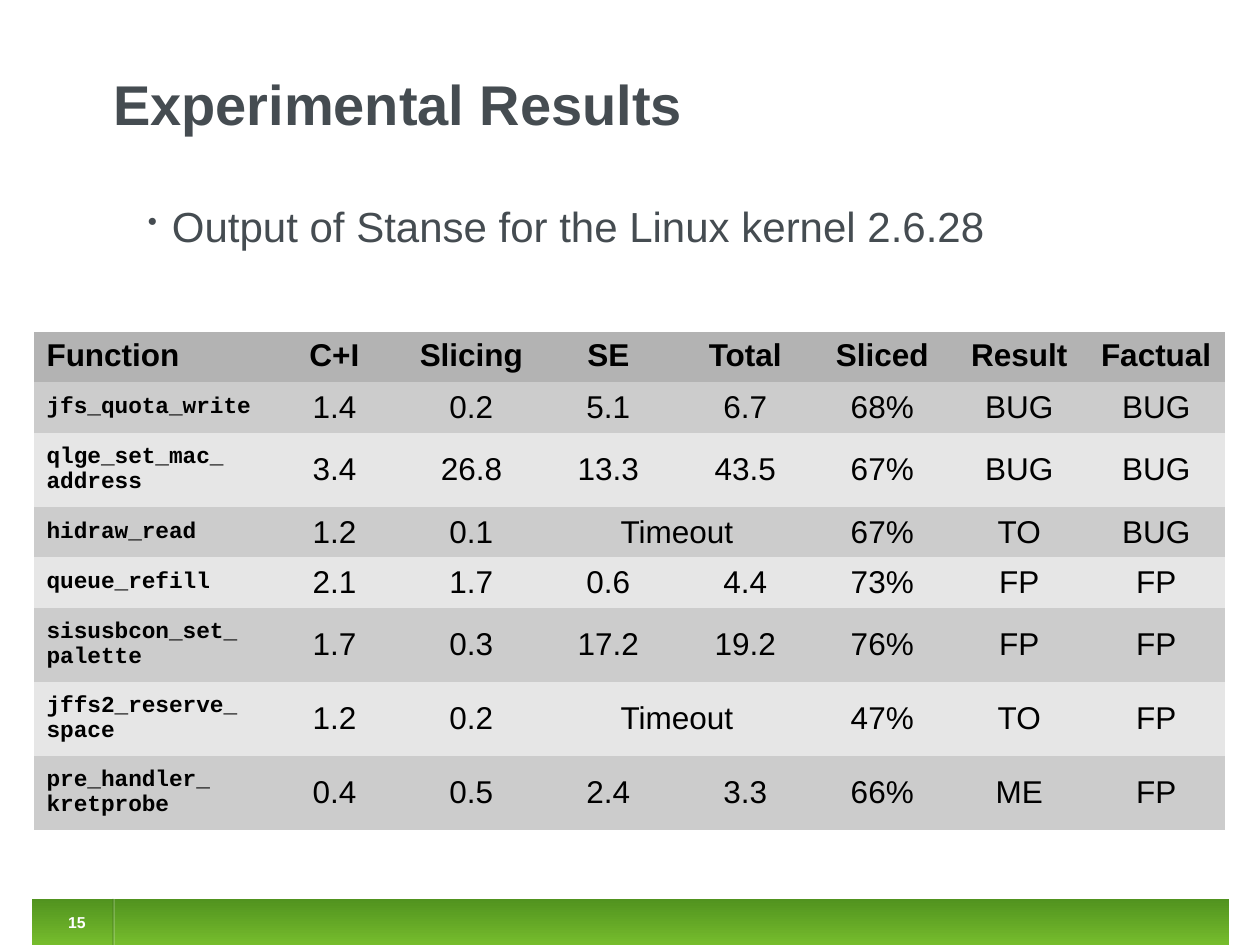
import pptx
import pptx.dml.color
import pptx.enum.shapes
import pptx.enum.text
import pptx.oxml
import pptx.oxml.ns
import pptx.util
from lxml import etree

PX = 914400 / 126  # EMU per px
RGBColor = pptx.dml.color.RGBColor
ALIGN = pptx.enum.text.PP_ALIGN
ANCHOR = pptx.enum.text.MSO_ANCHOR
qn = pptx.oxml.ns.qn

SLATE = RGBColor(0x45, 0x4C, 0x51)
BLACK = RGBColor(0, 0, 0)
WHITE = RGBColor(0xFF, 0xFF, 0xFF)
GREEN_LIGHT = RGBColor(0x77, 0xBD, 0x2D)
GREEN_DARK = RGBColor(0x51, 0x93, 0x1F)
GREEN_LINE = RGBColor(0x3F, 0x74, 0x18)
HEADER_GRAY = RGBColor(0xB3, 0xB3, 0xB3)
BAND_GRAYS = RGBColor(0xCC, 0xCC, 0xCC), RGBColor(0xE6, 0xE6, 0xE6)
NO_STYLE_NO_GRID = "{2D5ABB26-0587-4C30-8999-92F81FD0307C}"

HEADER = ["Function", "C+I", "Slicing", "SE", "Total", "Sliced", "Result", "Factual"]
# None continues the cell to its left; \v breaks a line
RESULTS = [
    ["jfs_quota_write", "1.4", "0.2", "5.1", "6.7", "68%", "BUG", "BUG"],
    ["qlge_set_mac_\vaddress", "3.4", "26.8", "13.3", "43.5", "67%", "BUG", "BUG"],
    ["hidraw_read", "1.2", "0.1", "Timeout", None, "67%", "TO", "BUG"],
    ["queue_refill", "2.1", "1.7", "0.6", "4.4", "73%", "FP", "FP"],
    ["sisusbcon_set_\vpalette", "1.7", "0.3", "17.2", "19.2", "76%", "FP", "FP"],
    ["jffs2_reserve_\vspace", "1.2", "0.2", "Timeout", None, "47%", "TO", "FP"],
    ["pre_handler_\vkretprobe", "0.4", "0.5", "2.4", "3.3", "66%", "ME", "FP"],
]


def px(*lengths):
    return [pptx.util.Emu(round(length * PX)) for length in lengths]


def set_font(paragraph, size, color, bold=False, name="Arial"):
    font = paragraph.font
    font.name, font.size, font.bold = name, pptx.util.Pt(size), bold
    font.color.rgb = color


def add_text(slide, box, text, anchor=ANCHOR.TOP, wrap=True):
    frame = slide.shapes.add_textbox(*px(*box)).text_frame
    frame.margin_left = frame.margin_right = frame.margin_top = frame.margin_bottom = 0
    frame.word_wrap = wrap
    frame.vertical_anchor = anchor
    frame.text = text
    return frame.paragraphs[0]


def add_divider(slide, x, top, height, color, opacity):
    line = slide.shapes.add_connector(
        pptx.enum.shapes.MSO_CONNECTOR.STRAIGHT, *px(x, top, x, top + height))
    line.line.width = pptx.util.Pt(0.75)
    line.line.color.rgb = color
    properties = line._element.spPr
    etree.SubElement(next(properties.iter(qn("a:srgbClr"))), qn("a:alpha"),
                     val=str(opacity * 1000))
    etree.SubElement(properties, qn("a:effectLst"))


def add_footer(slide, left, top, width, height):
    bar = slide.shapes.add_shape(pptx.enum.shapes.MSO_SHAPE.RECTANGLE,
                                 *px(left, top, width, height))
    bar.shadow.inherit = False
    bar.line.fill.background()
    bar.fill.gradient()
    bar.fill.gradient_angle = 90
    for stop, color in zip(bar.fill.gradient_stops, (GREEN_LIGHT, GREEN_DARK)):
        stop.color.rgb = color
    add_divider(slide, left + 82, top, height, WHITE, 31)
    add_divider(slide, left + 81, top, height, GREEN_LINE, 48)

    number = add_text(slide, (left + 25, top + 5, 40, 38), "15", ANCHOR.MIDDLE, wrap=False)
    number.alignment = ALIGN.CENTER
    number.line_spacing = 0.93
    set_font(number, 9, WHITE, bold=True)


def add_title(slide, *box):
    title = add_text(slide, box, "Experimental Results", ANCHOR.MIDDLE)
    set_font(title, 32, SLATE, bold=True)


def add_bullet(slide, *box):
    bullet = add_text(slide, box, "Output of Stanse for the Linux kernel 2.6.28")
    bullet.space_after = pptx.util.Pt(11.5)
    properties = bullet._p.get_or_add_pPr()
    indent, hanging = px(59, -24)
    properties.set("marL", str(indent))
    properties.set("indent", str(hanging))
    color = etree.SubElement(properties, qn("a:buClr"))
    etree.SubElement(color, qn("a:srgbClr"), val=str(SLATE))
    etree.SubElement(properties, qn("a:buSzPct"), val="65000")
    etree.SubElement(properties, qn("a:buChar"), char="•")
    set_font(bullet, 24, SLATE)


def add_results_table(slide, left, top, width):
    rows = [HEADER] + RESULTS
    value_width = 137
    name_width = width - value_width * (len(HEADER) - 1)
    heights = [74 if "\v" in row[0] else 48 for row in rows]
    frame = slide.shapes.add_table(len(rows), len(HEADER),
                                   *px(left, top, width, sum(heights)))
    next(frame._element.iter(qn("a:tableStyleId"))).text = NO_STYLE_NO_GRID
    table = frame.table
    for index, column in enumerate(table.columns):
        column.width = px(value_width if index else name_width)[0]

    for r, row in enumerate(rows):
        table.rows[r].height = px(heights[r])[0]
        for c, text in enumerate(row):
            cell = table.cell(r, c)
            cell.fill.solid()
            cell.fill.fore_color.rgb = BAND_GRAYS[(r - 1) % 2] if r else HEADER_GRAY
            if text is None:
                table.cell(r, c - 1).merge(cell)
                continue
            cell.text_frame.text = text
            cell.vertical_anchor = ANCHOR.MIDDLE if r else ANCHOR.TOP
            paragraph = cell.text_frame.paragraphs[0]
            paragraph.alignment = ALIGN.CENTER if c else ALIGN.LEFT
            if r and not c:
                set_font(paragraph, 13, BLACK, bold=True, name="Courier New")
            else:
                set_font(paragraph, 18, BLACK, bold=r == 0)


def main():
    presentation = pptx.Presentation()
    presentation.slide_width, presentation.slide_height = px(1260, 945)
    slide = presentation.slides.add_slide(presentation.slide_layouts[6])
    add_footer(slide, 32, 899, 1197, 47)
    add_title(slide, 113, 35, 1038, 136)
    add_bullet(slide, 113, 200, 1038, 548)
    add_results_table(slide, 34, 332, 1191)
    presentation.save("out.pptx")


if __name__ == "__main__":
    main()
